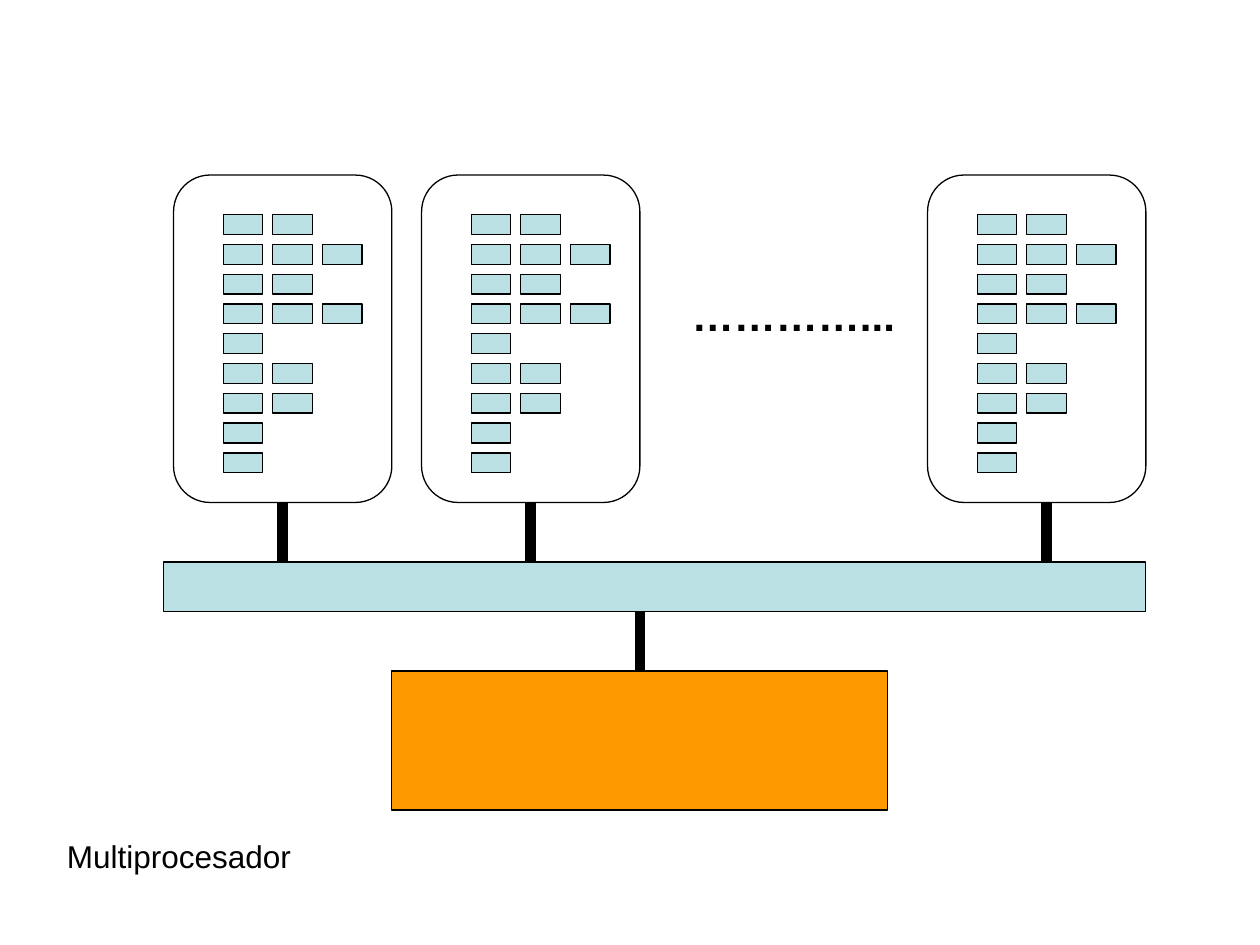
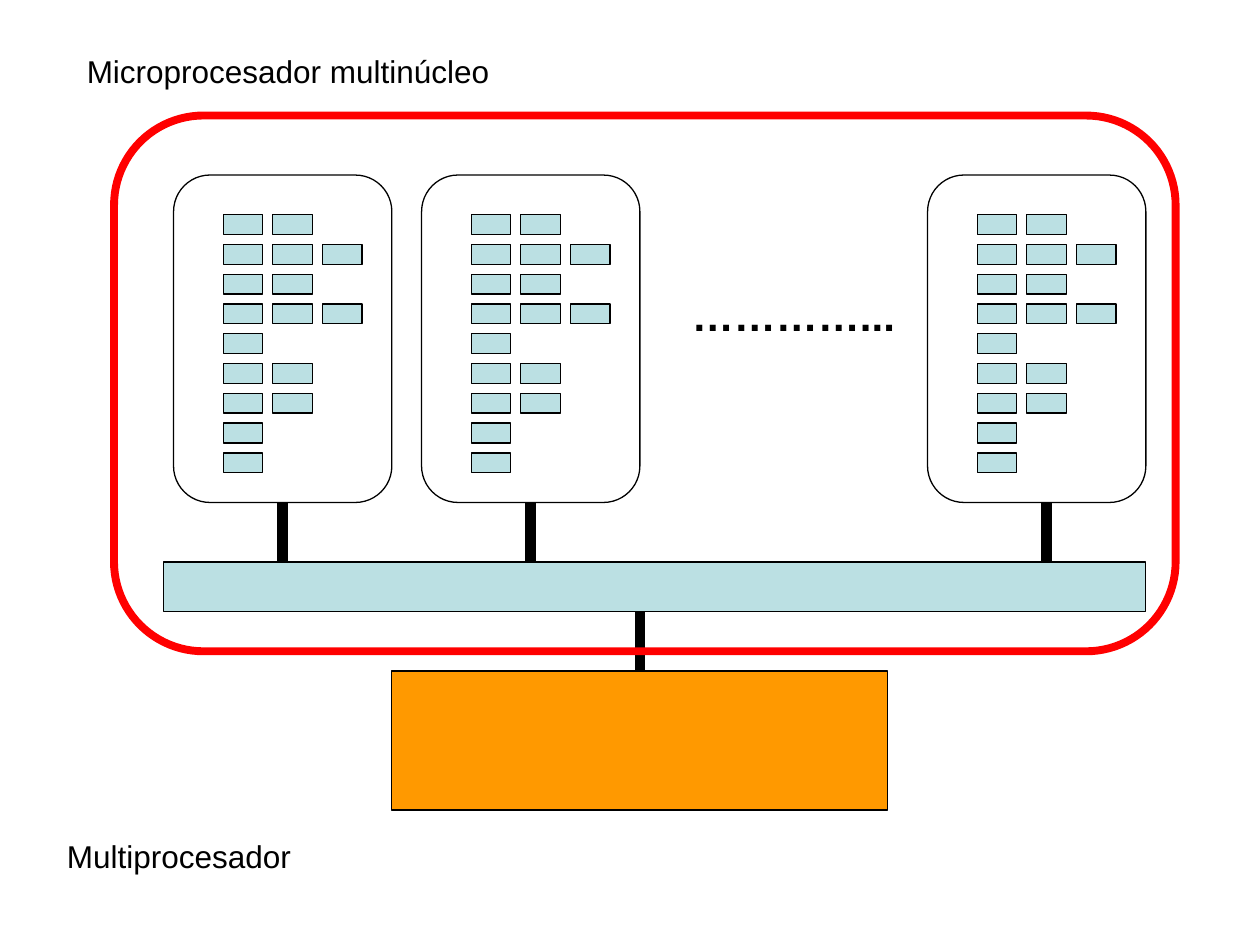
import pptx
import pptx.dml.color
import pptx.enum.shapes
import pptx.enum.text
import pptx.oxml
import pptx.util

Cm = pptx.util.Cm
Pt = pptx.util.Pt
RECTANGLE = pptx.enum.shapes.MSO_SHAPE.RECTANGLE
ROUNDED = pptx.enum.shapes.MSO_SHAPE.ROUNDED_RECTANGLE

BLACK = pptx.dml.color.RGBColor(0x00, 0x00, 0x00)
PALE_BLUE = pptx.dml.color.RGBColor(0xBB, 0xE0, 0xE3)
ORANGE = pptx.dml.color.RGBColor(0xFF, 0x99, 0x00)
RED = pptx.dml.color.RGBColor(0xFF, 0x00, 0x00)
FONT = "Arial"

# All lengths are centimetres on a grid of 1 cm columns and 0.6 cm rows.
COLUMN, ROW = 1, 0.6
CELL_WIDTH, CELL_HEIGHT = 0.8 * COLUMN, 0.4
CELLS_PER_ROW = [2, 3, 2, 3, 1, 2, 2, 1, 1]

CORE_TOP, CORE_WIDTH, CORE_HEIGHT = 3.53, 4.4, 11 * ROW
CORE_BOTTOM = CORE_TOP + CORE_HEIGHT
CORES = [(3.5, 5.7), (8.5, 10.7), (18.7, 21.1)]  # left edge, link position

LINK_LENGTH = 2 * ROW
BUS_LEFT, BUS_WIDTH, BUS_HEIGHT = 3.3, 19.8, 1
BUS_TOP = CORE_BOTTOM + LINK_LENGTH
BUS_BOTTOM = BUS_TOP + BUS_HEIGHT
MEMORY_LEFT, MEMORY_WIDTH, MEMORY_HEIGHT = 7.9, 10, 2.8
MEMORY_TOP = BUS_BOTTOM + LINK_LENGTH


def add_box(slide, kind, left, top, width, height, fill=None, line=BLACK, weight=0.75):
    shape = slide.shapes.add_shape(kind, Cm(left), Cm(top), Cm(width), Cm(height))
    shape.shadow.inherit = False
    if fill is None:
        shape.fill.background()
    else:
        shape.fill.solid()
        shape.fill.fore_color.rgb = fill
    shape.line.color.rgb = line
    shape.line.width = Pt(weight)
    if kind == ROUNDED:
        shape.adjustments[0] = 0.167


def add_label(slide, text, left, top, width, height, size=18, bold=False):
    box = slide.shapes.add_textbox(Cm(left), Cm(top), Cm(width), Cm(height))
    box.text_frame.word_wrap = True
    box.text_frame.auto_size = pptx.enum.text.MSO_AUTO_SIZE.SHAPE_TO_FIT_TEXT
    paragraph = box.text_frame.paragraphs[0]
    paragraph.space_before = Pt(size * 0.625)
    run = paragraph.add_run()
    run.text = text
    run.font.name = FONT
    run.font.size = Pt(size)
    run.font.bold = bold
    run.font.color.rgb = BLACK


presentation = pptx.Presentation()
presentation.slide_width = Cm(25.4)
presentation.slide_height = Cm(19.05)

for has_chip_frame in (False, True):
    slide = presentation.slides.add_slide(presentation.slide_layouts[6])

    # Cores with their cells
    for core_left, _ in CORES:
        for row, cell_count in enumerate(CELLS_PER_ROW):
            for column in range(cell_count):
                add_box(slide, RECTANGLE,
                        core_left + (column + 1) * COLUMN,
                        CORE_TOP + 0.8 + row * ROW,
                        CELL_WIDTH, CELL_HEIGHT, PALE_BLUE)
        add_box(slide, ROUNDED, core_left, CORE_TOP, CORE_WIDTH, CORE_HEIGHT)
    add_label(slide, "…………...", 13.7, 5.72, 4.8, 1.27, size=24, bold=True)

    # Bus and memory, joined by thick links
    add_box(slide, RECTANGLE, BUS_LEFT, BUS_TOP, BUS_WIDTH, BUS_HEIGHT, PALE_BLUE)
    add_box(slide, RECTANGLE, MEMORY_LEFT, MEMORY_TOP, MEMORY_WIDTH, MEMORY_HEIGHT, ORANGE)
    links = [(link_x, CORE_BOTTOM) for _, link_x in CORES]
    links.append((MEMORY_LEFT + MEMORY_WIDTH / 2, BUS_BOTTOM))
    for link_x, link_top in links:
        link = slide.shapes.add_connector(
            pptx.enum.shapes.MSO_CONNECTOR.STRAIGHT,
            Cm(link_x), Cm(link_top), Cm(link_x), Cm(link_top + LINK_LENGTH))
        link.line.color.rgb = BLACK
        link.line.width = Pt(6)
        properties = link._element.spPr
        properties.append(pptx.oxml.parse_xml(
            '<a:effectLst xmlns:a="http://schemas.openxmlformats.org/drawingml/2006/main"/>'))

    add_label(slide, "Multiprocesador", 1.1, 16.74, 7.6, 1.02)

    if has_chip_frame:
        add_box(slide, ROUNDED, 2.3, 2.33, 21.4, 18 * ROW, line=RED, weight=4.5)
        add_label(slide, "Microprocesador multinúcleo", 1.5, 0.92, 11, 1.02)

presentation.save("out.pptx")
